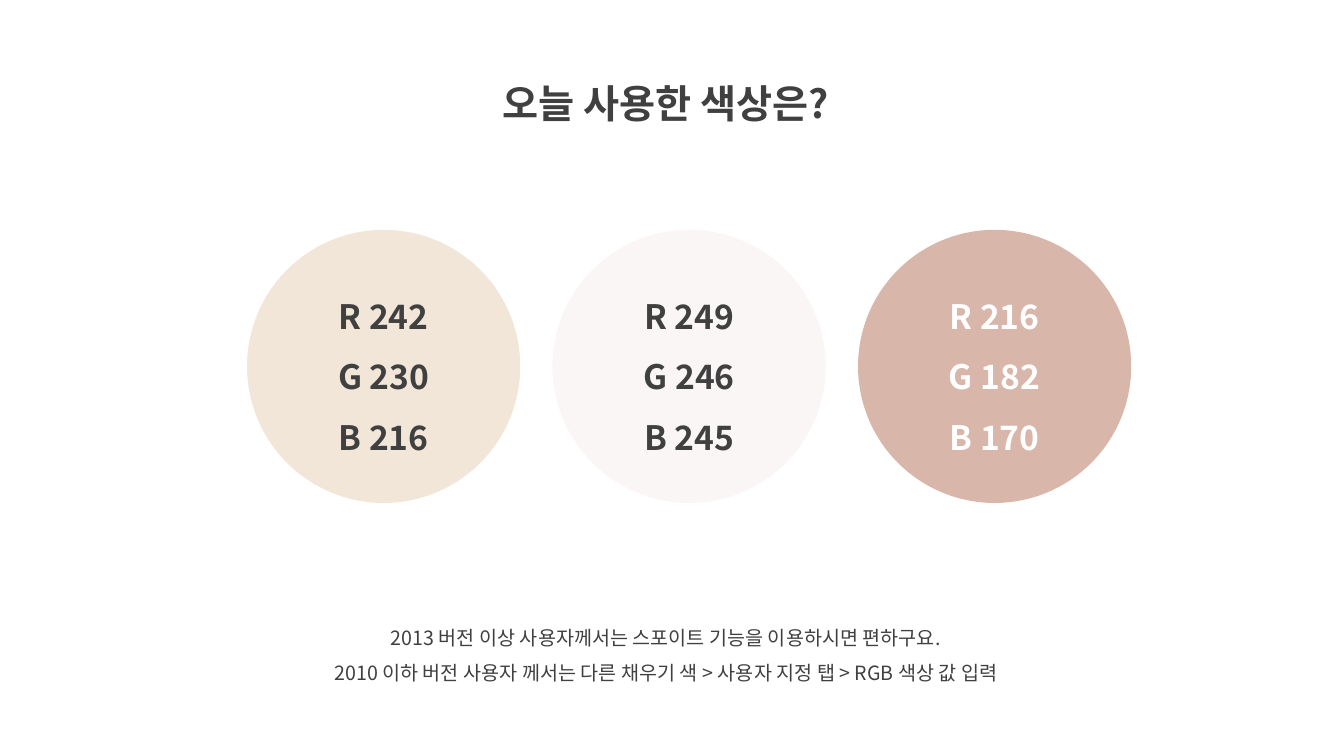
"""Build a slide that lists the three colours used, with their RGB values."""
from lxml import etree
from pptx import Presentation
from pptx.dml.color import RGBColor
from pptx.enum.shapes import MSO_SHAPE
from pptx.enum.text import MSO_ANCHOR, MSO_AUTO_SIZE, PP_ALIGN
from pptx.oxml.ns import qn
from pptx.util import Inches, Pt

CIRCLE = MSO_SHAPE.OVAL
CENTER = PP_ALIGN.CENTER
TOP, MIDDLE = MSO_ANCHOR.TOP, MSO_ANCHOR.MIDDLE
GROW, FIXED = MSO_AUTO_SIZE.SHAPE_TO_FIT_TEXT, MSO_AUTO_SIZE.NONE
FONT = "Noto Sans CJK KR"
DARK, WHITE = "404040", "FFFFFF"


def set_fill(fill, color):
    fill.solid()
    fill.fore_color.rgb = RGBColor.from_string(color)


def write(shape, text, size, color, bold, anchor, auto_size):
    frame = shape.text_frame
    frame.text = text
    frame.word_wrap = True
    frame.vertical_anchor = anchor
    frame.auto_size = auto_size
    for paragraph in frame.paragraphs:
        paragraph.alignment = CENTER
        paragraph.line_spacing = 1.5
        for run in paragraph.runs:
            run.font.size = Pt(size)
            run.font.bold = bold
            run.font.name = FONT
            set_fill(run.font.fill, color)
            east_asian = etree.SubElement(run.font._element, qn("a:ea"))
            east_asian.set("typeface", FONT)


deck = Presentation()
deck.slide_width, deck.slide_height = Inches(13.33), Inches(7.5)
slide = deck.slides.add_slide(deck.slide_layouts[5])
set_fill(slide.background.fill, WHITE)

question = slide.shapes.title
question.left, question.top = Inches(4.29), Inches(0.5)
question.width, question.height = Inches(4.63), Inches(0.72)
write(question, "오늘 사용한 색상은?", 28, DARK, True, TOP, GROW)

diameter, pitch = 2.71, 3.03
palette = [
    ((242, 230, 216), DARK),
    ((249, 246, 245), DARK),
    ((216, 182, 170), WHITE),
]
for column, (rgb, text_color) in enumerate(palette):
    swatch = slide.shapes.add_shape(
        CIRCLE, Inches(2.45 + column * pitch), Inches(2.28),
        Inches(diameter), Inches(diameter))
    swatch.shadow.inherit = False
    set_fill(swatch.fill, str(RGBColor(*rgb)))
    swatch.line.fill.background()
    channels = "\n".join(f"{name} {value}" for name, value in zip("RGB", rgb))
    write(swatch, channels, 24, text_color, True, MIDDLE, FIXED)

instructions = slide.shapes.add_textbox(
    Inches(2.61), Inches(6.04), Inches(7.99), Inches(0.81))
write(instructions,
      "2013 버전 이상 사용자께서는 스포이트 기능을 이용하시면 편하구요.\n"
      "2010 이하 버전 사용자 께서는 다른 채우기 색 > 사용자 지정 탭 > RGB 색상 값 입력",
      14, DARK, False, TOP, GROW)

deck.save("out.pptx")
